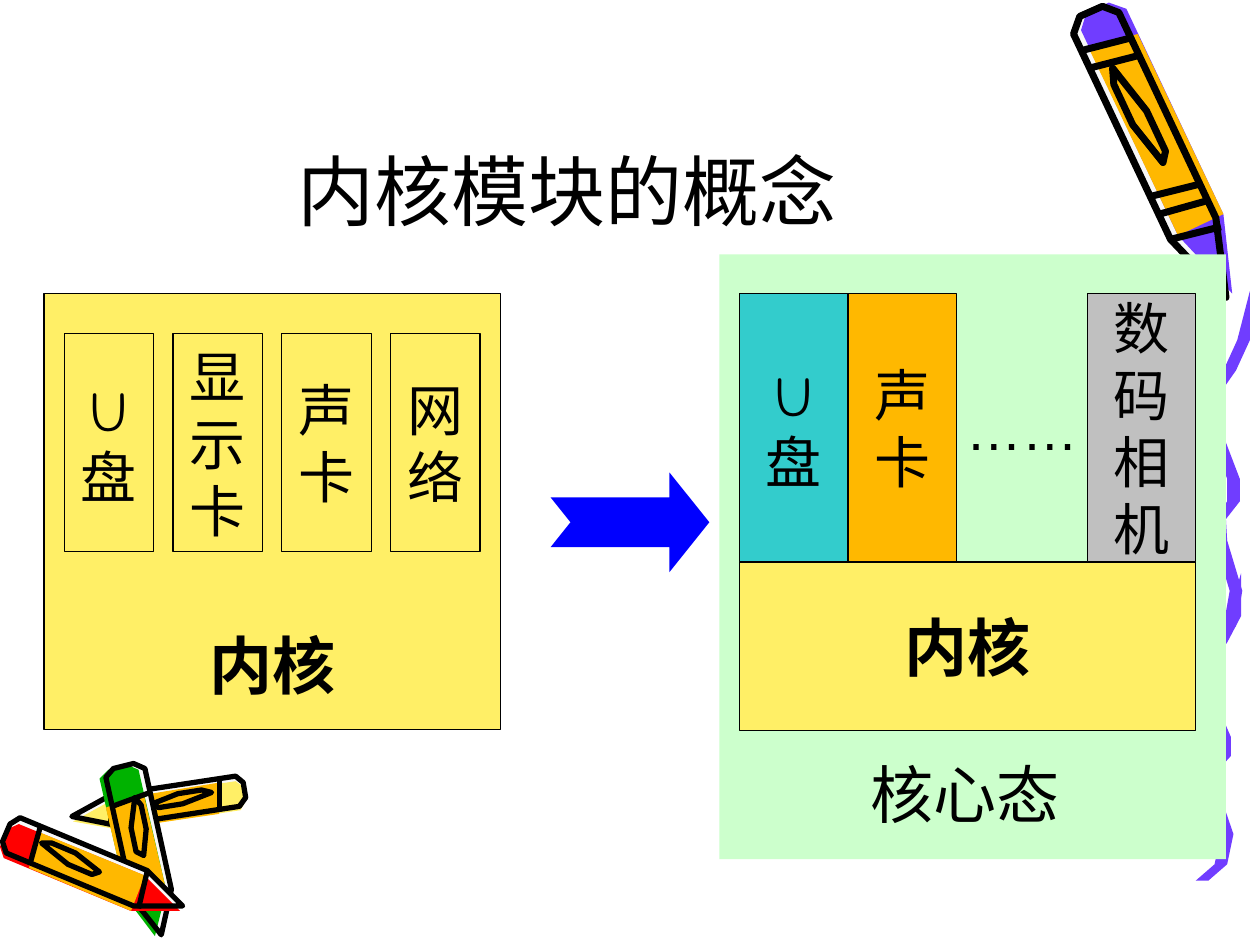
from math import hypot

from lxml.etree import SubElement
from pptx import Presentation
from pptx.dml.color import RGBColor
from pptx.enum.shapes import MSO_SHAPE
from pptx.enum.text import MSO_ANCHOR, PP_ALIGN
from pptx.oxml.ns import qn
from pptx.util import Pt

PX = 9144  # 100 px to the inch
FONT = "Comic Neue"
BLACK, PURPLE, ORANGE, YELLOW = "000000", "703DFF", "FFB800", "FFEF66"
RED, GREEN, PALE, MINT, BLUE = "FF0000", "00B200", "F8F8F8", "CCFFCC", "0000FF"

TITLE = "内核模块的概念"
KERNEL = "内核"
MODE = "核心态"
BUILT_IN = ["U盘", "显示卡", "声卡", "网络"]
LOADED = [("U盘", "33CCCC"), ("声卡", ORANGE)]
MORE = "……"
LAST_LOADED = ("数码相机", "C0C0C0")

# Kernel squares: left, top, width, height
BUILT_IN_KERNEL = (35, 233, 362, 346)
MODULAR_KERNEL = (587, 233, 362, 347)
BUILT_IN_INSET, BUILT_IN_W, BUILT_IN_H = 16, 71, 173
MODULE_W, MODULE_H = 86, 213

# Crayons, back to front. A negative half width puts the colour on the other side.
BIG_CRAYON = dict(tail=(866, 9), tip=(973, 236), half=20, color=PURPLE,
                  bands=(0.10, 0.16, 0.61, 0.67, 0.76), pen=4)
SMALL_CRAYONS = [
    dict(tail=(194, 627), tip=(57, 648), half=12, color=YELLOW, bands=(0.13, 0.76), pen=3),
    dict(tail=(98, 608), tip=(128, 742), half=-16, color=GREEN, bands=(0.18, 0.76), pen=3),
    dict(tail=(5, 661), tip=(145, 719), half=-15, color=RED, bands=(0.15, 0.76), pen=3),
]
# Crayon parts as (along, across): along runs 0 to 1 from tail to tip,
# across runs -1 to 1 from side to side
SHOULDER = 0.76
OUTLINE = [(0.04, -1), (0, -0.5), (0, 0.5), (0.04, 1), (SHOULDER, 1), (1, 0), (SHOULDER, -1)]
LABEL = [(0.19, -0.2), (0.24, -0.45), (0.38, -0.4), (0.53, 0), (0.5, 0.3), (0.36, 0.3)]
COLOR_SHIFT = 0.3  # the colour is printed a little beside the ink
BAND_SLANT = 0.03

# Centre line of the squiggle a crayon leaves, and where each copy goes: left, top, stretch
WAVE = [(36, 0), (31, 34), (20, 55), (6, 72), (4, 82), (10, 100), (23, 130), (23, 145),
        (12, 157), (13, 172), (25, 207), (20, 231), (5, 244)]
WAVE_HALF = 5
SQUIGGLES = [(949, 455, 1), (956, 231, 1.15)]


def rgb(color):
    return RGBColor.from_string(color)


def paint(sp, fill=None, line=None, width=0.75):
    sp.shadow.inherit = False
    if fill:
        sp.fill.solid()
        sp.fill.fore_color.rgb = rgb(fill)
    else:
        sp.fill.background()
    if line:
        sp.line.color.rgb = rgb(line)
        sp.line.width = Pt(width)
    else:
        sp.line.fill.background()
    return sp


def block(s, x, y, w, h, fill, line=BLACK, kind=MSO_SHAPE.RECTANGLE):
    box = (round(v * PX) for v in (x, y, w, h))
    return paint(s.shapes.add_shape(kind, *box), fill, line)


def outline(s, points, close=True, **look):
    fb = s.shapes.build_freeform(*points[0], scale=PX)
    fb.add_line_segments(points[1:], close=close)
    return paint(fb.convert_to_shape(), **look)


def write(sp, lines, size=32, font=FONT, bold=False, align=PP_ALIGN.CENTER,
          anchor=MSO_ANCHOR.MIDDLE, wrap=False):
    """Put each item of lines in a paragraph of its own."""
    tf = sp.text_frame
    tf.word_wrap = wrap
    tf.vertical_anchor = anchor
    for i, line in enumerate(lines):
        p = tf.add_paragraph() if i else tf.paragraphs[0]
        p.alignment = align
        r = p.add_run()
        r.text = line
        r.font.size, r.font.name, r.font.bold = Pt(size), font, bold
        r.font.color.rgb = rgb(BLACK)


def add_crayon(s, tail, tip, half, color, bands, pen):
    dx, dy = tip[0] - tail[0], tip[1] - tail[1]
    length = hypot(dx, dy)
    side_x, side_y = dy / length * half, -dx / length * half

    def to_slide(points, shift=0):
        """Turn (along, across) pairs into px on the slide."""
        return [(tail[0] + u * dx + (v + shift) * side_x,
                 tail[1] + u * dy + (v + shift) * side_y) for u, v in points]

    barrel = [(bands[0], -1), (bands[0] + BAND_SLANT, 1), (SHOULDER, 1), (SHOULDER, -1)]
    outline(s, to_slide(OUTLINE), fill=PALE)
    outline(s, to_slide(OUTLINE, COLOR_SHIFT), fill=color)
    outline(s, to_slide(barrel, COLOR_SHIFT), fill=ORANGE)
    outline(s, to_slide(OUTLINE), line=BLACK, width=pen)
    outline(s, to_slide(LABEL), line=BLACK, width=pen)
    for u in bands:
        outline(s, to_slide([(u, -1), (u + BAND_SLANT, 1)]), close=False, line=BLACK, width=pen)


def add_squiggle(s, left, top, stretch):
    centre = [(left + x, top + y * stretch) for x, y in WAVE]
    right = [(x + WAVE_HALF, y) for x, y in centre[1:]]
    left_side = [(x - WAVE_HALF, y) for x, y in centre[1:]]
    outline(s, centre[:1] + right + left_side[::-1], fill=PURPLE)


def add_built_in_kernel(s):
    x, y, w, h = BUILT_IN_KERNEL
    kernel = block(s, x, y, w, h, YELLOW)
    write(kernel, [KERNEL], size=36, bold=True, anchor=MSO_ANCHOR.BOTTOM)
    kernel.text_frame.margin_bottom = 22 * PX
    pitch = (w - 2 * BUILT_IN_INSET - BUILT_IN_W) / (len(BUILT_IN) - 1)
    for i, label in enumerate(BUILT_IN):
        module = block(s, x + BUILT_IN_INSET + i * pitch, y + 32, BUILT_IN_W, BUILT_IN_H, YELLOW)
        write(module, label)


def add_modular_kernel(s):
    x, y, w, h = MODULAR_KERNEL
    block(s, 571, 202, 402, 480, MINT, line=None)
    mode = s.shapes.add_textbox(681 * PX, 595 * PX, 181 * PX, 70 * PX)
    write(mode, [MODE], size=36, align=PP_ALIGN.LEFT, anchor=MSO_ANCHOR.TOP)
    write(block(s, x, y + MODULE_H, w, h - MODULE_H, YELLOW), [KERNEL], size=36, bold=True)

    last_x = x + w - MODULE_W
    columns = [(x + i * MODULE_W, *module) for i, module in enumerate(LOADED)]
    for left, label, fill in columns + [(last_x, *LAST_LOADED)]:
        write(block(s, left, y, MODULE_W, MODULE_H, fill), label)

    gap_x = x + len(LOADED) * MODULE_W
    more = s.shapes.add_textbox(gap_x * PX, y * PX, (last_x - gap_x) * PX, MODULE_H * PX)
    more.text_frame.margin_left = more.text_frame.margin_right = 0
    write(more, [MORE], font="Arial")


def main():
    prs = Presentation()
    prs.slide_width, prs.slide_height = 1000 * PX, 750 * PX
    s = prs.slides.add_slide(prs.slide_layouts[5])
    title = s.shapes.title
    title.left, title.top, title.width, title.height = 75 * PX, 17 * PX, 751 * PX, 175 * PX
    write(title, [TITLE], size=44, anchor=MSO_ANCHOR.BOTTOM, wrap=True)

    for crayon in [BIG_CRAYON] + SMALL_CRAYONS:
        add_crayon(s, **crayon)
    for squiggle in SQUIGGLES:
        add_squiggle(s, *squiggle)

    add_built_in_kernel(s)
    add_modular_kernel(s)
    arrow = block(s, 437, 375, 126, 79, BLUE, line=None, kind=MSO_SHAPE.NOTCHED_RIGHT_ARROW)
    arrow.adjustments[0], arrow.adjustments[1] = 0.5, 0.4
    prs.save("out.pptx")


if __name__ == "__main__":
    main()
